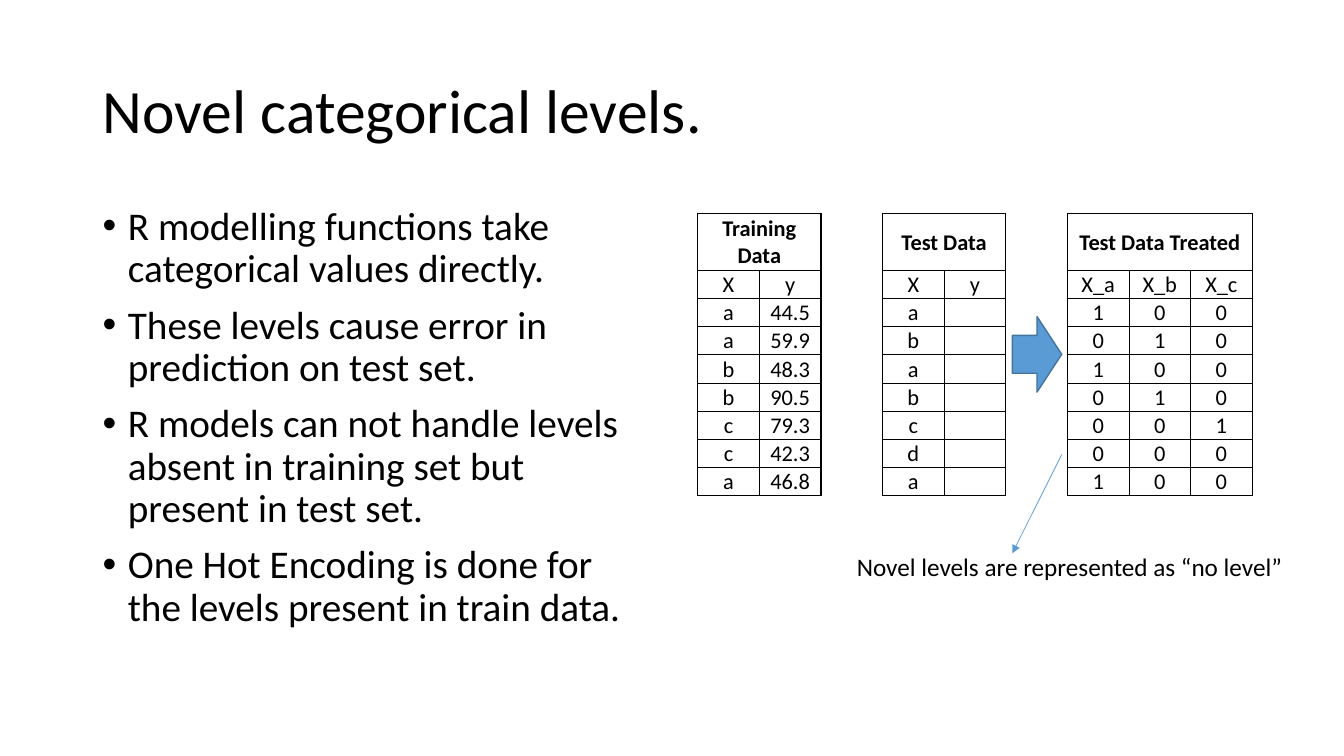
from lxml.etree import SubElement
from pptx import Presentation
from pptx.dml.color import RGBColor
from pptx.enum.shapes import MSO_CONNECTOR as CONN, MSO_SHAPE as SHAPE
from pptx.enum.text import MSO_ANCHOR as ANCHOR, PP_ALIGN as ALIGN
from pptx.oxml.ns import qn
from pptx.util import Inches, Pt

COLORS = {"ink": "000000", "blue": "5B9BD5", "outline": "43739E"}
FONT = "Calibri"
NO_STYLE = "{2D5ABB26-0587-4C30-8999-92F81FD0307C}"
BULLETS = [
    "R modelling functions take categorical values directly.",
    "These levels cause error in prediction on test set.",
    "R models can not handle levels absent in training set but present in test set.",
    "One Hot Encoding is done for the levels present in train data.",
]
TRAIN = [("a", "44.5"), ("a", "59.9"), ("b", "48.3"), ("b", "90.5"),
         ("c", "79.3"), ("c", "42.3"), ("a", "46.8")]
TEST = "ababcda"
BLOCKS = [
    ("Training Data", [("X", "y"), *TRAIN]),
    ("Test Data", [("X", "y"), *((x, "") for x in TEST)]),
    ("Test Data Treated", [("X_a", "X_b", "X_c"),
                           *([str(int(x == level)) for level in "abc"] for x in TEST)]),
]


def rgb(name):
    """Return the named colour."""
    return RGBColor.from_string(COLORS[name])


def write(p, text, size, bold=False, align=ALIGN.LEFT, spacing=1.0, before=0, bullet=False):
    """Fill a paragraph with formatted text."""
    p.alignment, p.line_spacing, p.space_before = align, spacing, Pt(before)
    if bullet:
        pPr = p._p.get_or_add_pPr()
        pPr.set("marL", str(Inches(0.25)))
        pPr.set("indent", str(-Inches(0.25)))
        SubElement(pPr, qn("a:buFont"), typeface="Arial")
        SubElement(pPr, qn("a:buChar"), char="•")
    if not text:
        SubElement(p._p, qn("a:endParaRPr"), sz=str(size * 100))
        return
    r = p.add_run()
    r.text = text
    r.font.name, r.font.size, r.font.bold = FONT, Pt(size), bold
    r.font.color.rgb = rgb("ink")


def add_text(slide, box, lines, size, anchor=ANCHOR.TOP, wrap=True, **fmt):
    """Add a text box with one paragraph for each line."""
    tf = slide.shapes.add_textbox(*map(Inches, box)).text_frame
    tf.word_wrap, tf.vertical_anchor = wrap, anchor
    for i, line in enumerate(lines):
        write(tf.add_paragraph() if i else tf.paragraphs[0], line, size, **fmt)


def style_cell(cell, text, borders, bold=False):
    """Write a cell and draw its borders, given as side to width."""
    cell.margin_left = cell.margin_right = cell.margin_top = Inches(0.01)
    cell.margin_bottom = 0
    cell.vertical_anchor = ANCHOR.MIDDLE
    write(cell.text_frame.paragraphs[0], text, 16 if text else 12, bold, ALIGN.CENTER)
    tcPr = cell._tc.get_or_add_tcPr()
    for side in "LRTB":
        width = borders.get(side, 0)
        ln = SubElement(tcPr, qn(f"a:ln{side}"), w=str(Pt(width)))
        if width:
            fill = SubElement(ln, qn("a:solidFill"))
            SubElement(fill, qn("a:srgbClr"), val=COLORS["ink"])
        else:
            SubElement(ln, qn("a:noFill"))
    cell.fill.background()


def add_data(slide, box):
    """Add the data blocks as one table with an empty column between blocks."""
    left, top, width, height = box
    n_rows = len(TEST) + 2
    n_cols = sum(len(rows[0]) for _, rows in BLOCKS) + len(BLOCKS) - 1
    frame = slide.shapes.add_table(n_rows, n_cols, *map(Inches, box))
    table = frame.table
    table.first_row = table.horz_banding = False
    table._tbl.tblPr.find(qn("a:tableStyleId")).text = NO_STYLE
    head = height / 5
    for i, row in enumerate(table.rows):
        row.height = Inches((height - head) / (n_rows - 1) if i else head)
    for column in table.columns:
        column.width = Inches(width / n_cols)
    start = 0
    for title, rows in BLOCKS:
        span = len(rows[0])
        if start:
            for i in range(n_rows):
                style_cell(table.cell(i, start - 1), "", {"L": 1, "R": 1})
        for i, row in enumerate([[title] + [""] * (span - 1), *rows]):
            for j, value in enumerate(row):
                borders = {"L": 0.5 if j else 1, "R": 1 if j == span - 1 else 0.5,
                           "T": 0.5 if i else 1, "B": 1 if i == n_rows - 1 else 0.5}
                style_cell(table.cell(i, start + j), value, borders, bold=i == 0)
        table.cell(0, start).merge(table.cell(0, start + span - 1))
        start += span + 1


def add_treatment(slide, box):
    """Add the block arrow, the pointer below it and the note on novel levels."""
    left, top, width, height = box
    sp = slide.shapes.add_shape(SHAPE.RIGHT_ARROW, *map(Inches, (left, top, width, 0.75)))
    sp.shadow.inherit = False
    sp.fill.solid()
    sp.fill.fore_color.rgb = rgb("blue")
    sp.line.color.rgb, sp.line.width = rgb("outline"), Pt(1)
    ends = (left + width, top + 1.37, left, top + height)
    line = slide.shapes.add_connector(CONN.STRAIGHT, *map(Inches, ends))
    line.line.color.rgb, line.line.width = rgb("blue"), Pt(0.5)
    SubElement(line.line._get_or_add_ln(), qn("a:tailEnd"), type="triangle")
    SubElement(line._element.spPr, qn("a:effectLst"))
    add_text(slide, (left - 1.64, top + height - 0.07, 4.47, 0.4),
             ["Novel levels are represented as “no level”"], 18, wrap=False)


def build_slide(prs):
    """Build the slide on novel categorical levels."""
    slide = prs.slides.add_slide(prs.slide_layouts[6])
    add_text(slide, (0.92, 0.4, 11.5, 1.45), ["Novel categorical levels."], 44,
             anchor=ANCHOR.MIDDLE, spacing=0.9)
    add_data(slide, (6.92, 2.12, 5.5, 2.8))
    add_text(slide, (0.92, 2, 5.48, 4.76), BULLETS, 28, spacing=0.9, before=10, bullet=True)
    add_treatment(slide, (10.04, 3.14, 0.49, 2.35))


prs = Presentation()
prs.slide_width, prs.slide_height = Inches(13.33), Inches(7.5)
build_slide(prs)
prs.save("out.pptx")
